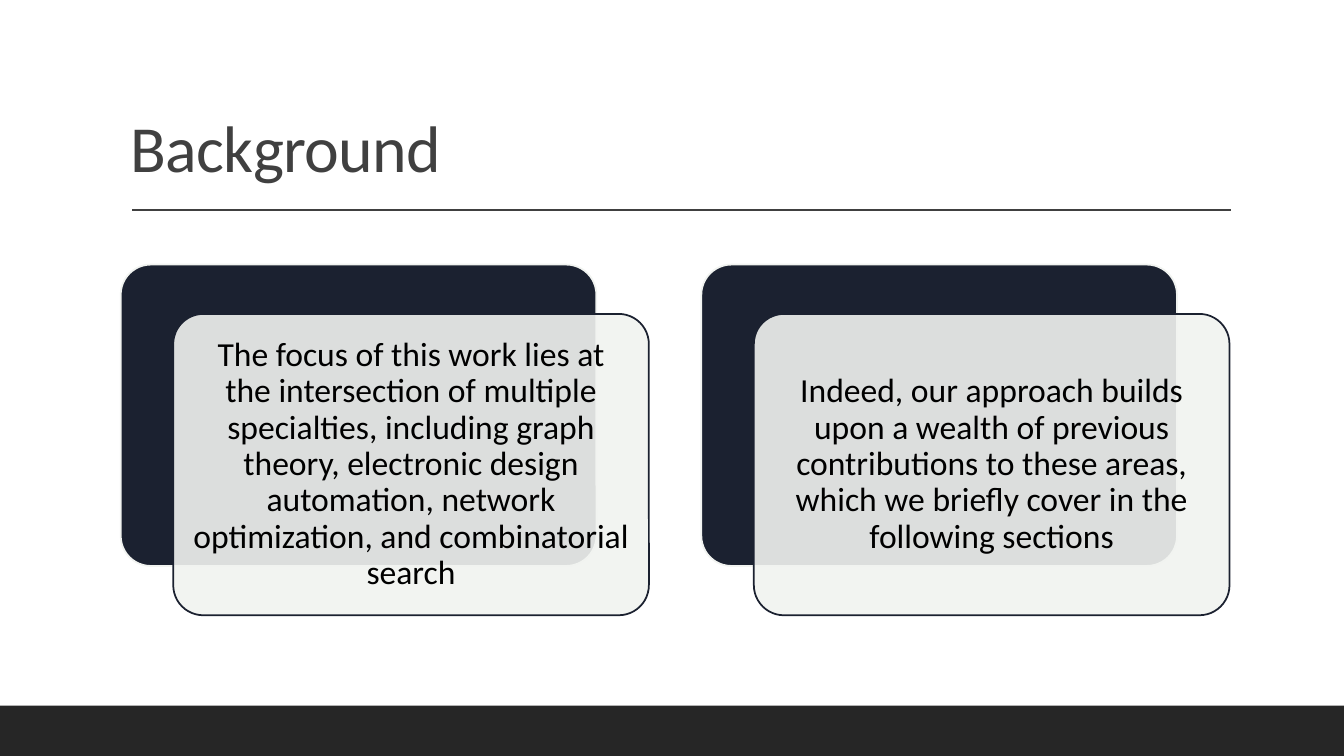
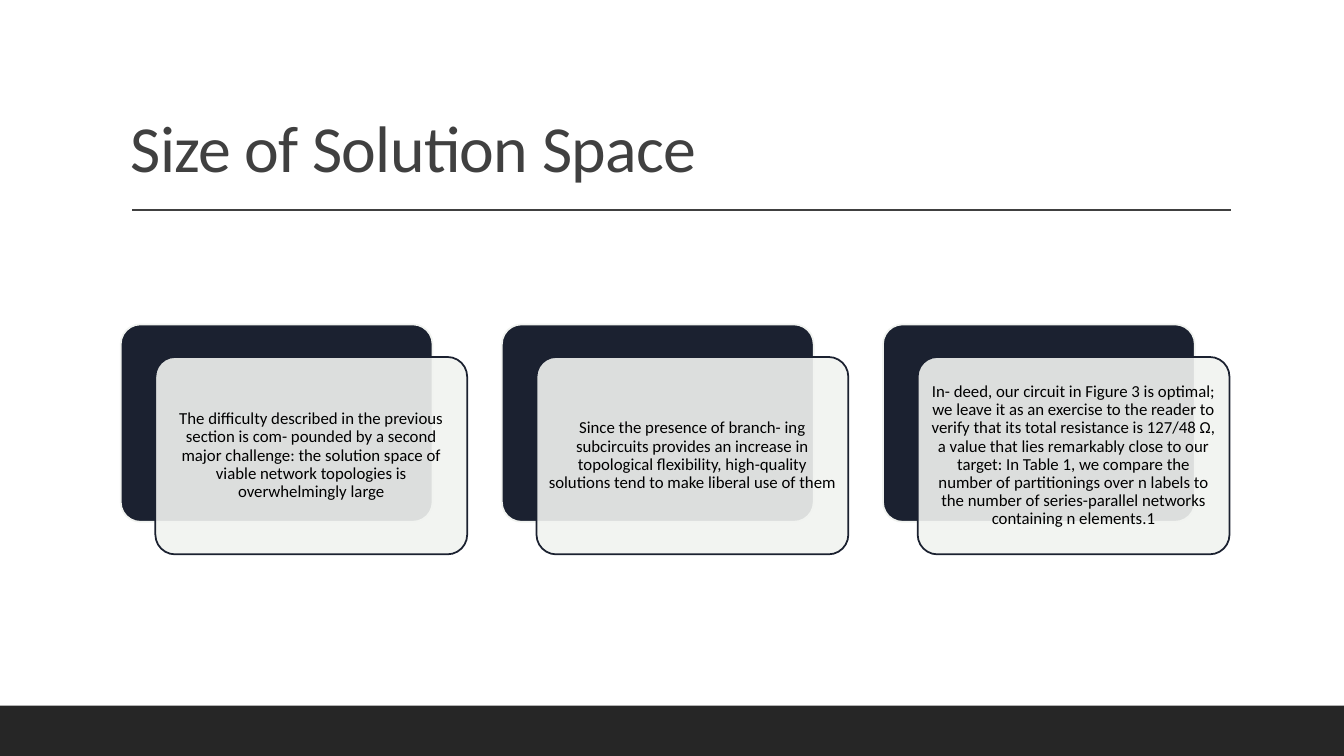
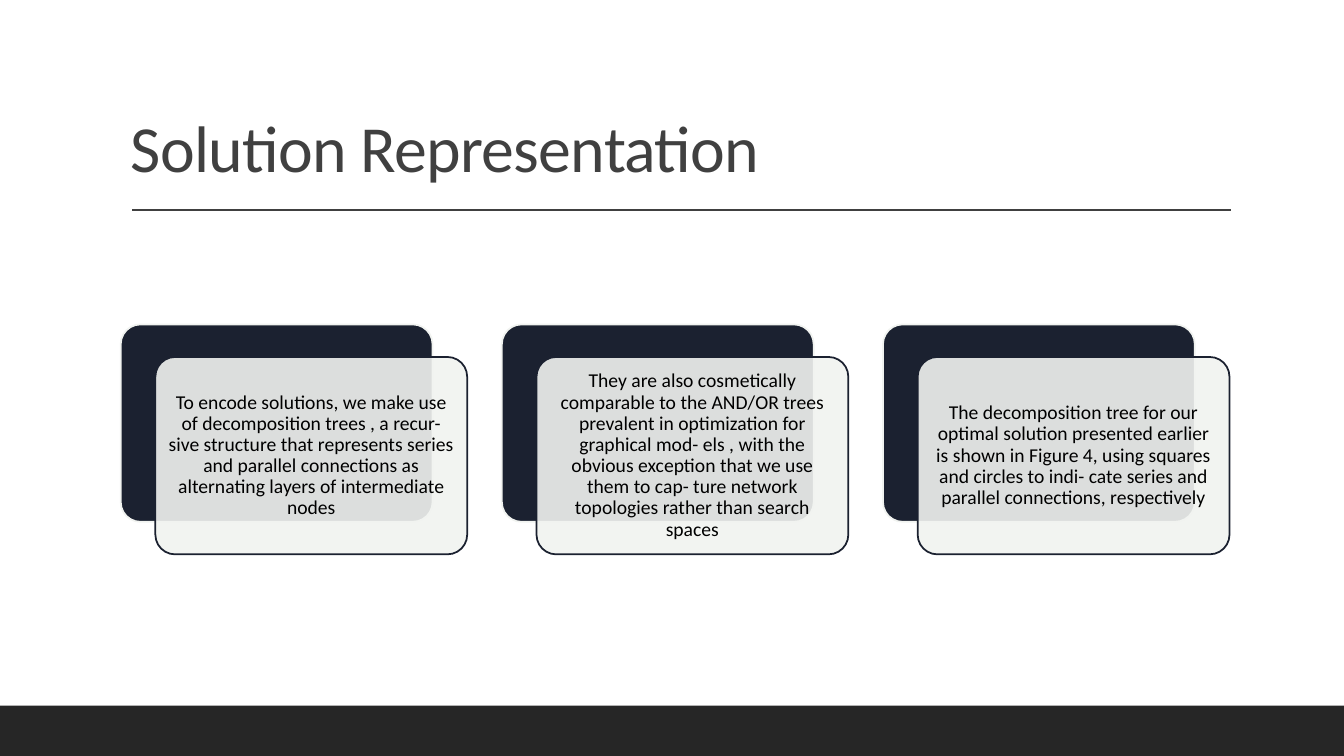
from dataclasses import dataclass

from lxml.etree import SubElement
from pptx import Presentation
from pptx.dml.color import RGBColor
from pptx.enum.shapes import MSO_CONNECTOR, MSO_SHAPE
from pptx.enum.text import MSO_ANCHOR, MSO_AUTO_SIZE, PP_ALIGN
from pptx.oxml.ns import qn
from pptx.util import Pt

PX = 9525  # 96 px to the inch


@dataclass(frozen=True)
class Theme:
    font: str = "Calibri"
    paper: RGBColor = RGBColor(0xFF, 0xFF, 0xFF)
    heading: RGBColor = RGBColor(0x40, 0x40, 0x40)
    text: RGBColor = RGBColor(0x00, 0x00, 0x00)
    band: RGBColor = RGBColor(0x26, 0x26, 0x26)
    navy: RGBColor = RGBColor(0x1B, 0x21, 0x30)
    pale: RGBColor = RGBColor(0xF1, 0xF3, 0xF0)
    title_pt: int = 47
    rule_pt: float = 1
    outline_pt: float = 1.25


theme = Theme()

# Title, card text size and card texts of each slide
slides = [
    ("Background", 24, [
        "The focus of this work lies at the intersection of multiple specialties, "
        "including graph theory, electronic design automation, network optimization, "
        "and combinatorial search",
        "Indeed, our approach builds upon a wealth of previous contributions to these "
        "areas, which we briefly cover in the following sections",
    ]),
    ("Size of Solution Space", 12, [
        "The difficulty described in the previous section is com- pounded by a second "
        "major challenge: the solution space of viable network topologies is "
        "overwhelmingly large",
        "Since the presence of branch- ing subcircuits provides an increase in "
        "topological flexibility, high-quality solutions tend to make liberal use of them",
        "In- deed, our circuit in Figure 3 is optimal; we leave it as an exercise to the "
        "reader to verify that its total resistance is 127/48 Ω, a value that lies "
        "remarkably close to our target: In Table 1, we compare the number of "
        "partitionings over n labels to the number of series-parallel networks "
        "containing n elements.1",
    ]),
    ("Solution Representation", 14, [
        "To encode solutions, we make use of decomposition trees , a recur- sive "
        "structure that represents series and parallel connections as alternating "
        "layers of intermediate nodes",
        "They are also cosmetically comparable to the AND/OR trees prevalent in "
        "optimization for graphical mod- els , with the obvious exception that we use "
        "them to cap- ture network topologies rather than search spaces",
        "The decomposition tree for our optimal solution presented earlier is shown in "
        "Figure 4, using squares and circles to indi- cate series and parallel "
        "connections, respectively",
    ]),
]


def add_box(s, kind, box, fill, line=None):
    sp = s.shapes.add_shape(kind, *(round(v) * PX for v in box))
    sp.shadow.inherit = False
    sp.fill.solid()
    sp.fill.fore_color.rgb = fill
    if line is None:
        sp.line.fill.background()
    else:
        sp.line.color.rgb = line
        sp.line.width = Pt(theme.outline_pt)
    return sp


def set_text(sp, text, anchor, align, size, color):
    tf = sp.text_frame
    for name, value in {"word_wrap": True, "auto_size": MSO_AUTO_SIZE.NONE,
                        "vertical_anchor": anchor}.items():
        setattr(tf, name, value)
    p = tf.paragraphs[0]
    p.alignment, p.line_spacing = align, 0.9
    r = p.add_run()
    r.text = text
    for name, value in {"name": theme.font, "size": Pt(size)}.items():
        setattr(r.font, name, value)
    r.font.color.rgb = color
    return r


prs = Presentation()
prs.slide_width, prs.slide_height = 1280 * PX, 720 * PX

# Card row: left edge, width and vertical middle
row_left, row_width, row_middle = 115, 1056, 419

for title, size, texts in slides:
    s = prs.slides.add_slide(prs.slide_layouts[5])
    s.background.fill.solid()
    s.background.fill.fore_color.rgb = theme.paper

    # Title
    sp = s.shapes.title
    for name, value in {"left": 115, "top": 30, "width": 1056, "height": 153}.items():
        setattr(sp, name, value * PX)
    r = set_text(sp, title, MSO_ANCHOR.BOTTOM, PP_ALIGN.LEFT,
                 theme.title_pt, theme.heading)
    r.font._element.set("spc", "-50")

    # Rule under the title
    rule = s.shapes.add_connector(MSO_CONNECTOR.STRAIGHT,
                                  126 * PX, 200 * PX, 1172 * PX, 200 * PX)
    rule.line.color.rgb = theme.heading
    rule.line.width = Pt(theme.rule_pt)
    SubElement(rule._element.spPr, qn("a:effectLst"))

    # Bottom band
    add_box(s, MSO_SHAPE.RECTANGLE, (0, 672, 1280, 48), theme.band)

    # Cards: 9 units wide, front card shifted by 1, next card after 11
    unit = row_width / (11 * len(texts) - 1)
    w, h, dx, dy = 9 * unit, 5.71 * unit, unit, 0.95 * unit
    top = row_middle - (h + dy) / 2
    for i, text in enumerate(texts):
        left = row_left + 11 * unit * i
        back = add_box(s, MSO_SHAPE.ROUNDED_RECTANGLE, (left, top, w, h),
                       theme.navy, theme.pale)
        front = add_box(s, MSO_SHAPE.ROUNDED_RECTANGLE, (left + dx, top + dy, w, h),
                        theme.pale, theme.navy)
        for sp in (back, front):
            sp.adjustments[0] = 0.1

        # Front card lets the back card show through
        color = front._element.spPr.find(qn("a:solidFill")).find(qn("a:srgbClr"))
        SubElement(color, qn("a:alpha"), val="90000")
        for side in ("left", "top", "right", "bottom"):
            setattr(front.text_frame, f"margin_{side}", round(0.4 * size) * PX)
        set_text(front, text, MSO_ANCHOR.MIDDLE, PP_ALIGN.CENTER, size, theme.text)

prs.save("out.pptx")
